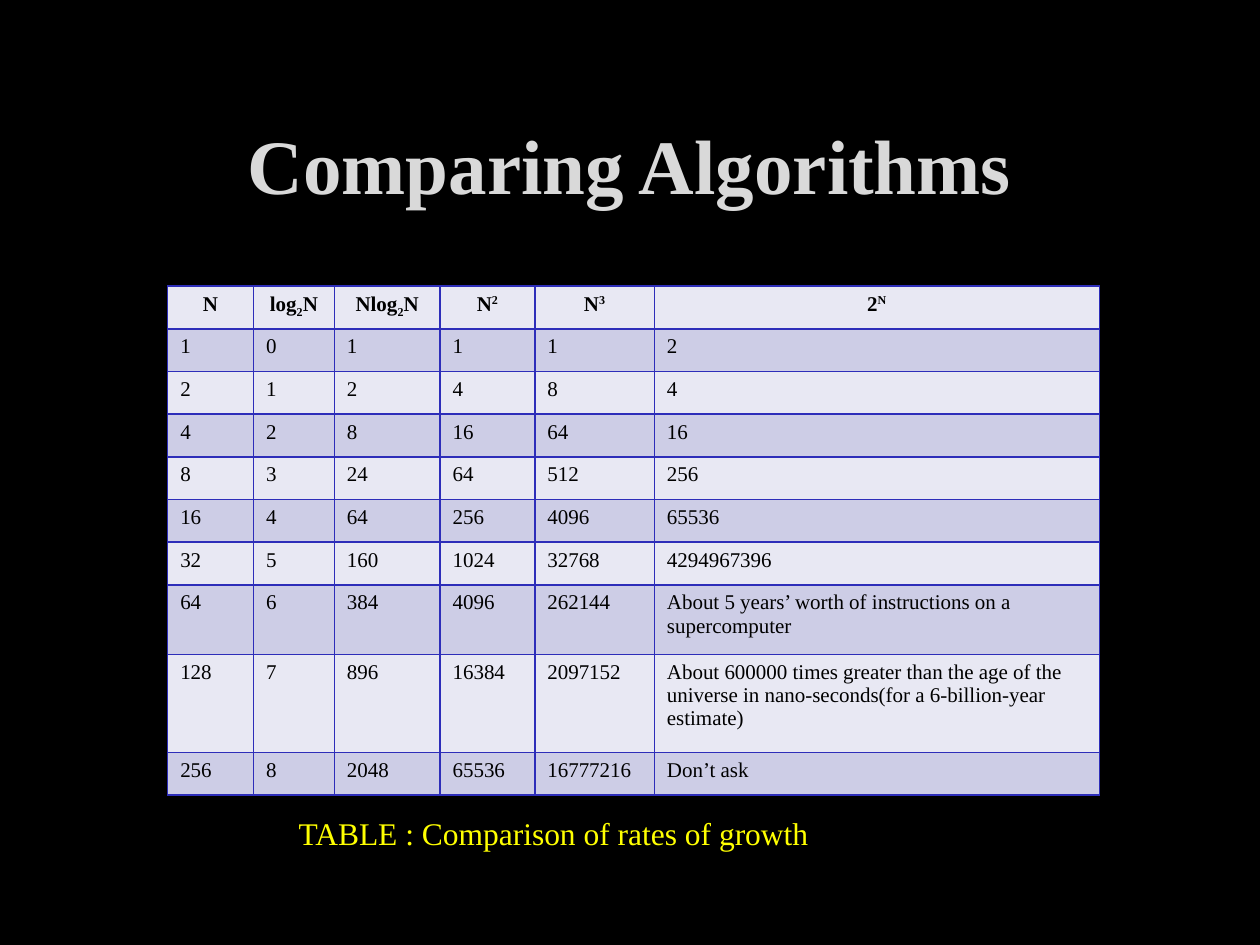
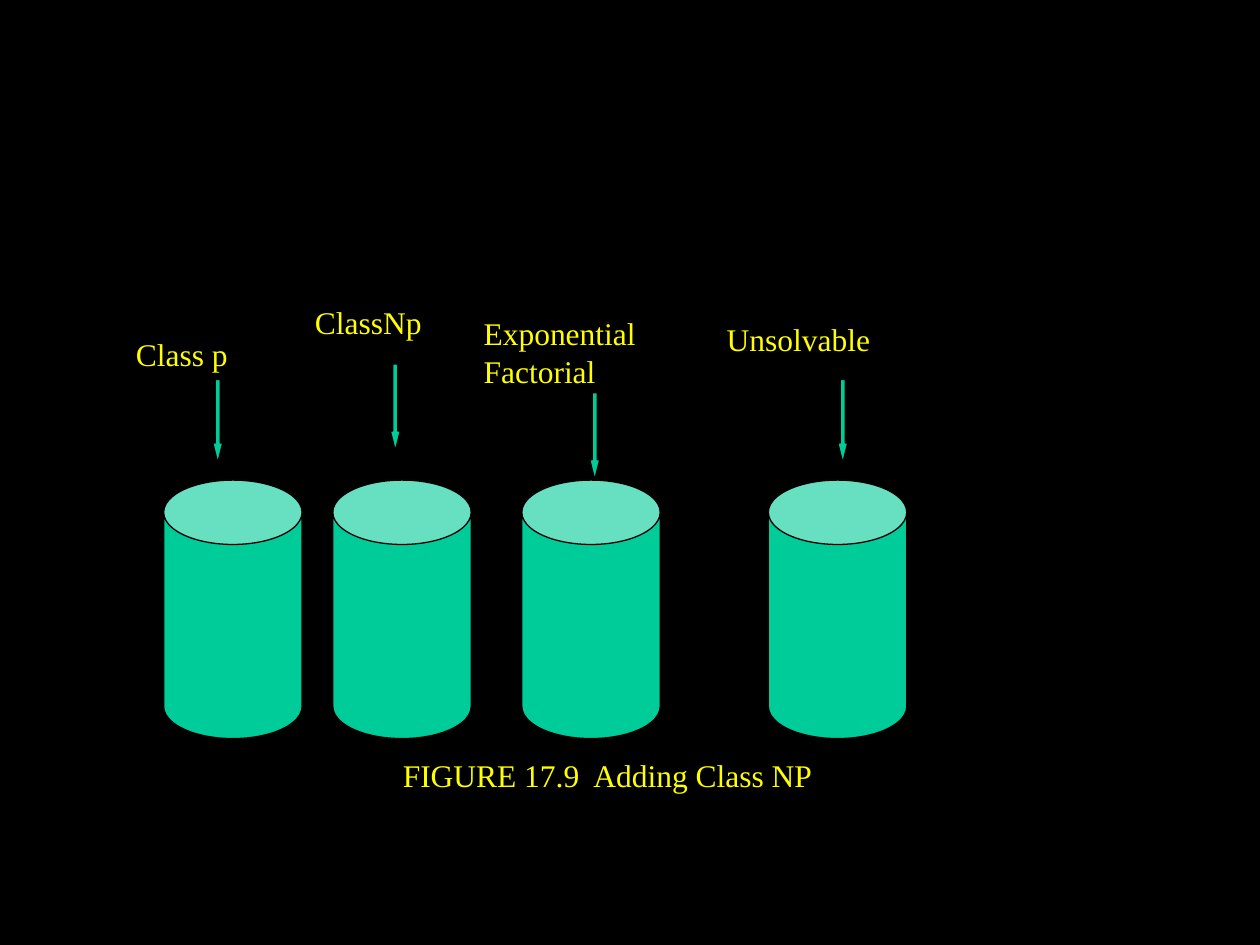
from pptx import Presentation
from pptx.dml.color import RGBColor
from pptx.enum.shapes import MSO_CONNECTOR, MSO_SHAPE
from pptx.enum.text import MSO_ANCHOR, MSO_AUTO_SIZE, PP_ALIGN
from pptx.oxml.ns import qn
from pptx.util import Cm, Pt
from lxml.etree import SubElement

# Shared look
FONT = "Times New Roman"
BLACK, YELLOW, SILVER = "000000", "FFFF00", "D9D9D9"
GREEN, BORDER = "00CC99", "2D2DB9"
BANDS = ["E8E8F3", "CDCDE6"]

# Growth table: header cells are (text, baseline percent) pieces
HEADERS = [
    [("N", 0)],
    [("log", 0), ("2", -25), ("N", 0)],
    [("Nlog", 0), ("2", -25), ("N", 0)],
    [("N", 0), ("2", 30)],
    [("N", 0), ("3", 30)],
    [("2", 0), ("N", 30)],
]
POWERS = [
    "2", "4", "16", "256", "65536", "4294967396",
    "About 5 years’ worth of instructions on a supercomputer",
    "About 600000 times greater than the age of the universe in "
    "nano-seconds(for a 6-billion-year estimate)",
    "Don’t ask",
]
NLOGN_AT_ONE = 1
COLUMN_WIDTHS = [1.73, 1.63, 2.13, 1.91, 2.41, 8.97]
ROW_HEIGHTS = [0.86] * 7 + [1.4, 1.98, 0.86]

# Complexity classes, placed relative to the top left corner of their can:
# can left, label, label (dx, dy, width, height), arrow dx,
# block arrow (dy, height), line (dy, end dy)
CLASSES = [
    (3.3, "Class p", (-0.81, -3.05, 3.02, 1.02), 0.99, (-2.03, 1.68), (-2.03, -0.59)),
    (6.71, "ClassNp", (-0.61, -3.69, 3.18, 1.02), 1.16, (-2.34, 1.75), (-2.67, -0.59)),
    (10.52, "Exponential Factorial", (-1.02, -3.48, 4.6, 2.54), 1.37,
     (-1.76, 1.75), (-1.76, -0.36)),
    (15.49, "Unsolvable", (-1.09, -3.36, 4.09, 1.02), 1.4, (-2.03, 1.68), (-2.34, -0.59)),
]
CAN_TOP, CAN_WIDTH, CAN_HEIGHT = 9.68, 2.79, 5.21
BLOCK_WIDTH = 0.2


def rgb(hex_color):
    return RGBColor.from_string(hex_color)


def style(paragraph, size, color, bold=False, align=PP_ALIGN.LEFT):
    paragraph.alignment = align
    font = paragraph.font
    font.name, font.size, font.bold = FONT, Pt(size), bold
    font.color.rgb = rgb(color)


def add_title(slide, text, left, top, width, height):
    title = slide.shapes.title
    title.left, title.top, title.width, title.height = map(Cm, (left, top, width, height))
    frame = title.text_frame
    frame.text = text
    frame.auto_size = MSO_AUTO_SIZE.NONE
    frame.vertical_anchor = MSO_ANCHOR.MIDDLE
    style(frame.paragraphs[0], 44, SILVER, bold=True, align=PP_ALIGN.CENTER)


def add_label(slide, text, left, top, width, height=1.02):
    frame = slide.shapes.add_textbox(*map(Cm, (left, top, width, height))).text_frame
    frame.word_wrap = True
    frame.text = text
    style(frame.paragraphs[0], 18, YELLOW)


def add_solid(slide, kind, left, top, width, height, adjustments):
    solid = slide.shapes.add_shape(kind, *map(Cm, (left, top, width, height)))
    for index, value in enumerate(adjustments):
        solid.adjustments[index] = value
    solid.shadow.inherit = False
    solid.fill.solid()
    solid.fill.fore_color.rgb = rgb(GREEN)
    solid.line.color.rgb = rgb(BLACK)
    solid.line.width = Pt(0.75)


def add_arrow_line(slide, x, top, bottom):
    arrow = slide.shapes.add_connector(MSO_CONNECTOR.STRAIGHT, Cm(x), Cm(top), Cm(x), Cm(bottom))
    arrow.line.color.rgb = rgb(BLACK)
    arrow.line.width = Pt(0.75)
    SubElement(arrow.line._get_or_add_ln(), qn("a:tailEnd"), type="triangle")
    SubElement(arrow._element.spPr, qn("a:effectLst"))


def format_cell(cell, band):
    properties = cell._tc.get_or_add_tcPr()
    for side in ("lnL", "lnR", "lnT", "lnB"):
        edge = SubElement(properties, qn(f"a:{side}"), w=str(Pt(1)))
        SubElement(SubElement(edge, qn("a:solidFill")), qn("a:srgbClr"), val=BORDER)
    cell.fill.solid()
    cell.fill.fore_color.rgb = rgb(band)


def growth_rows():
    for exponent, power in enumerate(POWERS):
        n = 2 ** exponent
        nlogn = n * exponent or NLOGN_AT_ONE
        yield [str(value) for value in (n, exponent, nlogn, n ** 2, n ** 3, power)]


def add_growth_table(slide, left, top):
    table = slide.shapes.add_table(
        len(ROW_HEIGHTS), len(COLUMN_WIDTHS), Cm(left), Cm(top),
        Cm(sum(COLUMN_WIDTHS)), Cm(sum(ROW_HEIGHTS))).table
    for column, width in zip(table.columns, COLUMN_WIDTHS):
        column.width = Cm(width)
    for row, height in zip(table.rows, ROW_HEIGHTS):
        row.height = Cm(height)

    # Header row
    for column, pieces in enumerate(HEADERS):
        cell = table.cell(0, column)
        format_cell(cell, BANDS[0])
        heading = cell.text_frame.paragraphs[0]
        for text, baseline in pieces:
            run = heading.add_run()
            run.text = text
            if baseline:
                run._r.get_or_add_rPr().set("baseline", str(baseline * 1000))
        style(heading, 12, BLACK, bold=True, align=PP_ALIGN.CENTER)

    # Value rows
    for row, values in enumerate(growth_rows(), start=1):
        for column, value in enumerate(values):
            cell = table.cell(row, column)
            format_cell(cell, BANDS[row % 2])
            cell.text = value
            style(cell.text_frame.paragraphs[0], 12, BLACK)


def add_class(slide, left, top, label, label_box, arrow_dx, block, line):
    add_solid(slide, MSO_SHAPE.CAN, left, top, CAN_WIDTH, CAN_HEIGHT, [0.465])
    dx, dy, width, height = label_box
    add_label(slide, label, left + dx, top + dy, width, height)
    arrow_x = left + arrow_dx
    add_arrow_line(slide, arrow_x, top + line[0], top + line[1])
    add_solid(slide, MSO_SHAPE.DOWN_ARROW, arrow_x, top + block[0],
              BLOCK_WIDTH, block[1], [0.5, 2])


def build_comparison_slide(prs):
    slide = prs.slides.add_slide(prs.slide_layouts[5])
    add_title(slide, "Comparing Algorithms", 1.9, 1.7, 21.59, 3.18)
    add_label(slide, "TABLE : Comparison of rates of growth", 5.77, 16.28, 15.47)
    add_growth_table(slide, 3.38, 5.77)


def build_classes_slide(prs):
    slide = prs.slides.add_slide(prs.slide_layouts[6])
    for left, *parts in CLASSES:
        add_class(slide, left, CAN_TOP, *parts)
    add_label(slide, "FIGURE 17.9  Adding Class NP", 7.87, 15.11, 10.06)


def main():
    prs = Presentation()
    prs.slide_width, prs.slide_height = Cm(25.4), Cm(19.05)
    background = prs.slide_master.background.fill
    background.solid()
    background.fore_color.rgb = rgb(BLACK)
    build_comparison_slide(prs)
    build_classes_slide(prs)
    prs.save("out.pptx")


if __name__ == "__main__":
    main()
